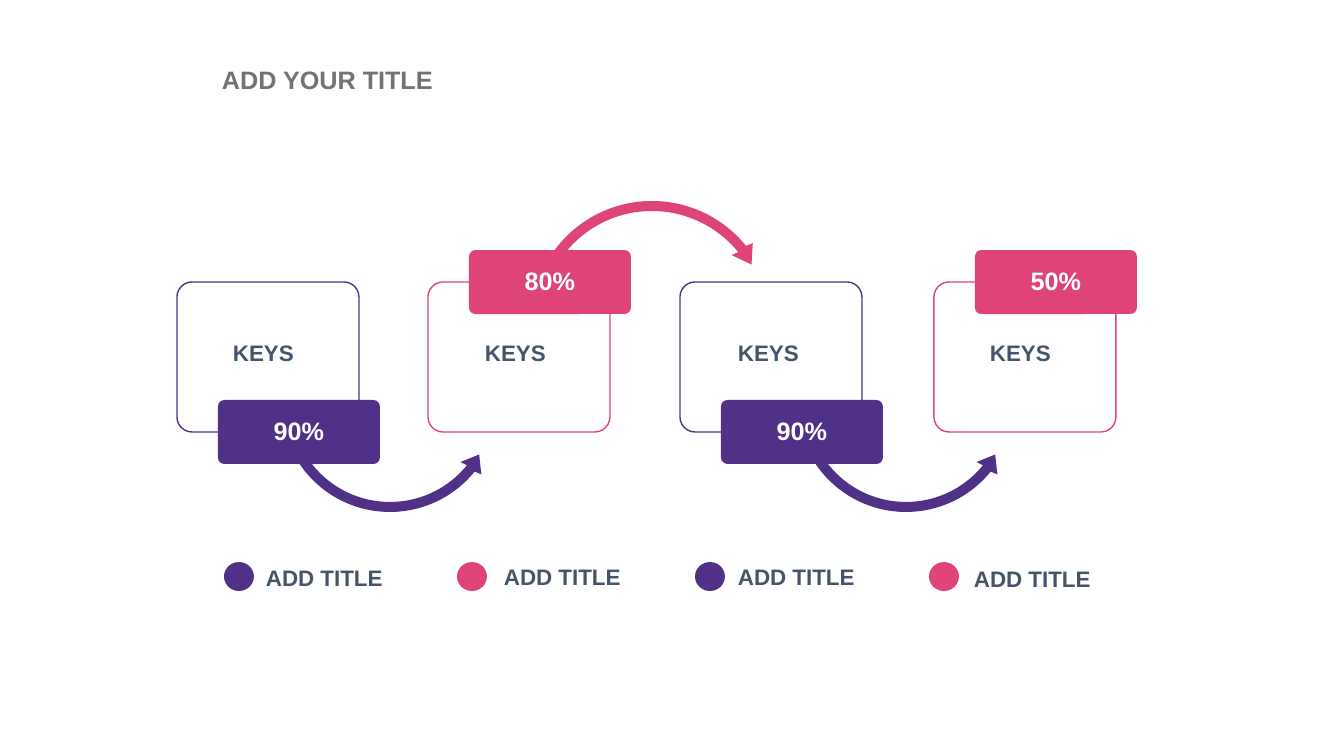
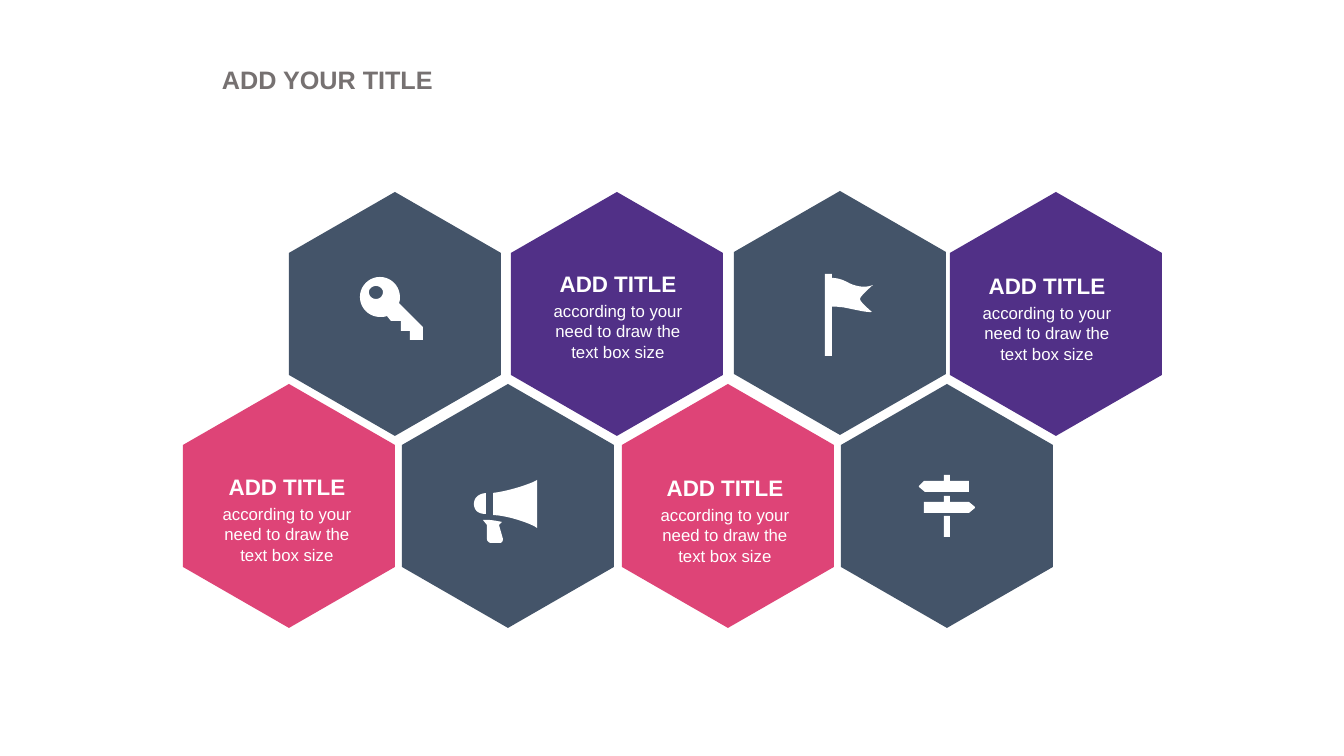
from math import cos, radians, sin

from pptx import Presentation
from pptx.dml.color import RGBColor
from pptx.enum.shapes import MSO_SHAPE
from pptx.enum.text import MSO_ANCHOR, PP_ALIGN
from pptx.util import Pt

OVAL = MSO_SHAPE.OVAL
RECT = MSO_SHAPE.RECTANGLE
ROUND = MSO_SHAPE.ROUNDED_RECTANGLE
TOP, MIDDLE = MSO_ANCHOR.TOP, MSO_ANCHOR.MIDDLE
LEFT, CENTER = PP_ALIGN.LEFT, PP_ALIGN.CENTER

PX = 914400 / 100.8
FONT = "Arial"
HUES = {
    "purple": "513087",
    "pink": "DE4477",
    "slate": "445469",
    "gray": "767171",
    "white": "FFFFFF",
}

TITLE = "ADD YOUR TITLE"
LABEL = "ADD TITLE"
BODY = "according to your need to draw the text box size"

STEPS = [
    ("KEYS", "90%", "purple", 177, 233),
    ("KEYS", "80%", "pink", 428, 485),
    ("KEYS", "90%", "purple", 680, 738),
    ("KEYS", "50%", "pink", 934, 990),
]
TAG_TOP = {"purple": 400, "pink": 250}
ARROWS = [
    ("purple", 906, 403, 104, 1),
    ("purple", 390, 403, 104, 1),
    ("pink", 652, 322, 116, -1),
]
LEGEND = [
    ("purple", 224, 266, 564),
    ("pink", 457, 504, 563),
    ("purple", 695, 738, 563),
    ("pink", 929, 974, 565),
]

HEX_W, HEX_H = 212, 244
CELLS = [
    ("slate", 734, 191),
    ("slate", 289, 192),
    ("slate", 402, 384),
    ("slate", 841, 384),
    ("pink", 183, 384),
    ("pink", 622, 384),
    ("purple", 511, 192),
    ("purple", 950, 192),
]
NOTES = [(287, 473), (618, 270), (725, 474), (1047, 272)]

BARS = [(944, 516, 6, 21), (825, 274, 7, 82)]
ICONS = {
    "upper sign": [[
        (944, 481), (944, 475), (950, 475), (950, 481), (969, 481),
        (969, 492), (925, 492), (919, 487), (919, 486), (924, 481),
    ]],
    "lower sign": [[
        (944, 502), (944, 496), (950, 496), (950, 502), (969, 502),
        (975, 507), (975, 508), (969, 513), (924, 513), (924, 502),
    ]],
    "flag": [[
        (860, 299), (860, 296, 873, 285, 873, 285),
        (866, 288, 856, 287, 847, 282), (838, 277, 830, 278, 830, 278),
        (830, 307), (831, 307, 833, 306, 839, 307),
        (846, 307, 865, 313, 872, 312), (872, 312, 860, 302, 860, 299),
    ]],
    "key": [
        [
            (399, 303), (400, 301, 400, 299, 400, 297),
            (400, 286, 391, 277, 380, 277), (369, 277, 360, 286, 360, 297),
            (360, 308, 369, 317, 380, 317), (382, 317, 385, 317, 387, 316),
            (391, 321), (401, 321), (401, 331), (410, 331), (410, 340),
            (423, 340), (423, 327),
        ],
        [
            (376, 299), (372, 299, 369, 296, 369, 292),
            (369, 289, 372, 286, 376, 286), (380, 286, 383, 289, 383, 292),
            (383, 296, 380, 299, 376, 299),
        ],
    ],
    "handle": [[
        (483, 520), (487, 525), (487, 539), (487, 541, 489, 543, 491, 543),
        (500, 543), (502, 543, 503, 541, 503, 539), (499, 525), (502, 522),
        (497, 521, 492, 520, 488, 520),
    ]],
    "horn": [[
        (493, 515), (511, 516, 534, 525, 537, 528), (537, 480),
        (533, 483, 510, 491, 493, 493),
    ]],
    "mouthpiece": [[
        (486, 514), (486, 493), (476, 494, 474, 500, 474, 504),
        (474, 508, 476, 514, 486, 514),
    ]],
}


def emu(*vals):
    return [round(v * PX) for v in vals]


def rgb(hue):
    return RGBColor.from_string(HUES[hue])


def paint(shape, fill=None, line=None):
    shape.shadow.inherit = False
    if fill:
        shape.fill.solid()
        shape.fill.fore_color.rgb = rgb(fill)
    else:
        shape.fill.background()
    if line:
        shape.line.color.rgb = rgb(line)
        shape.line.width = Pt(1)
    else:
        shape.line.fill.background()
    return shape


def preset(slide, kind, box, fill=None, line=None):
    shape = slide.shapes.add_shape(kind, *emu(*box))
    if kind == ROUND:
        shape.adjustments[0] = 0.1
    return paint(shape, fill, line)


def write(shape, text, size, hue, bold=True, align=LEFT):
    para = shape.text_frame.paragraphs[0]
    para.text = text
    para.alignment = align
    font = para.font
    font.name, font.size, font.bold = FONT, Pt(size), bold
    font.color.rgb = rgb(hue)
    return para


def label(slide, text, box, size, hue, bold=True, align=LEFT,
          wrap=True, anchor=TOP, inset=0):
    shape = slide.shapes.add_textbox(*emu(*box))
    frame = shape.text_frame
    frame.word_wrap = wrap
    frame.vertical_anchor = anchor
    frame.margin_left = frame.margin_right = round(inset * 2 * PX)
    frame.margin_top = frame.margin_bottom = round(inset * PX)
    write(shape, text, size, hue, bold, align)


def trace(nodes, steps=10):
    points = [nodes[0]]
    for node in nodes[1:]:
        if len(node) == 2:
            points.append(node)
            continue
        ends = [points[-1], node[:2], node[2:4], node[4:]]
        for i in range(1, steps + 1):
            t = i / steps
            u = 1 - t
            parts = (u ** 3, 3 * u * u * t, 3 * u * t * t, t ** 3)
            points.append(tuple(
                sum(k * p[axis] for k, p in zip(parts, ends))
                for axis in (0, 1)))
    return points


def outline(slide, rings, fill):
    pen = None
    for ring in rings:
        first, *rest = [emu(*p) for p in trace(ring)]
        if pen is None:
            pen = slide.shapes.build_freeform(*first)
        else:
            pen.move_to(*first)
        pen.add_line_segments(rest, close=True)
    paint(pen.convert_to_shape(), fill)


def arrow(slide, hue, cx, cy, mid, side):
    sweep = range(151, 38, -2)
    polar = [(mid + 5, a) for a in sweep]
    polar += [(mid + 12, 38), (mid - 1, 30), (mid - 12, 40)]
    polar += [(mid - 5, a) for a in reversed(sweep)]
    outline(slide, [[
        (cx + r * cos(radians(a)), cy + side * r * sin(radians(a)))
        for r, a in polar]], hue)


def start(deck):
    slide = deck.slides.add_slide(deck.slide_layouts[6])
    label(slide, TITLE, (212, 59, 234, 40), 18, "gray", wrap=False, inset=5)
    return slide


def flow(deck):
    slide = start(deck)
    for item in ARROWS:
        arrow(slide, *item)
    for name, share, hue, left, text_x in STEPS:
        preset(slide, ROUND, (left, 282, 182, 150), line=hue)
        tag = preset(slide, ROUND, (left + 41, TAG_TOP[hue], 162, 64), hue)
        tag.text_frame.vertical_anchor = MIDDLE
        write(tag, share, 18, "white", align=CENTER).line_spacing = 0.9
        label(slide, name, (text_x, 339, 61, 27), 16, "slate",
              wrap=False, anchor=MIDDLE)
    for hue, dot, left, top in LEGEND:
        preset(slide, OVAL, (dot, 562, 30, 29), hue)
        label(slide, LABEL, (left, top, 142, 27), 16, "slate")


def comb(deck):
    slide = start(deck)
    for hue, x, y in CELLS:
        mid, right = x + HEX_W / 2, x + HEX_W
        high, low = y + HEX_H / 4, y + HEX_H * 3 / 4
        outline(slide, [[(mid, y), (right, high), (right, low),
                         (mid, y + HEX_H), (x, low), (x, high)]], hue)
    for box in BARS:
        preset(slide, RECT, box, "white")
    for rings in ICONS.values():
        outline(slide, rings, "white")
    for mid, top in NOTES:
        label(slide, LABEL, (mid - 129, top, 258, 27), 16, "white",
              align=CENTER)
        label(slide, BODY, (mid - 78, top + 31, 156, 62), 12, "white",
              bold=False, align=CENTER)


def main():
    deck = Presentation()
    deck.slide_width, deck.slide_height = emu(1344, 756)
    flow(deck)
    comb(deck)
    deck.save("out.pptx")


if __name__ == "__main__":
    main()
